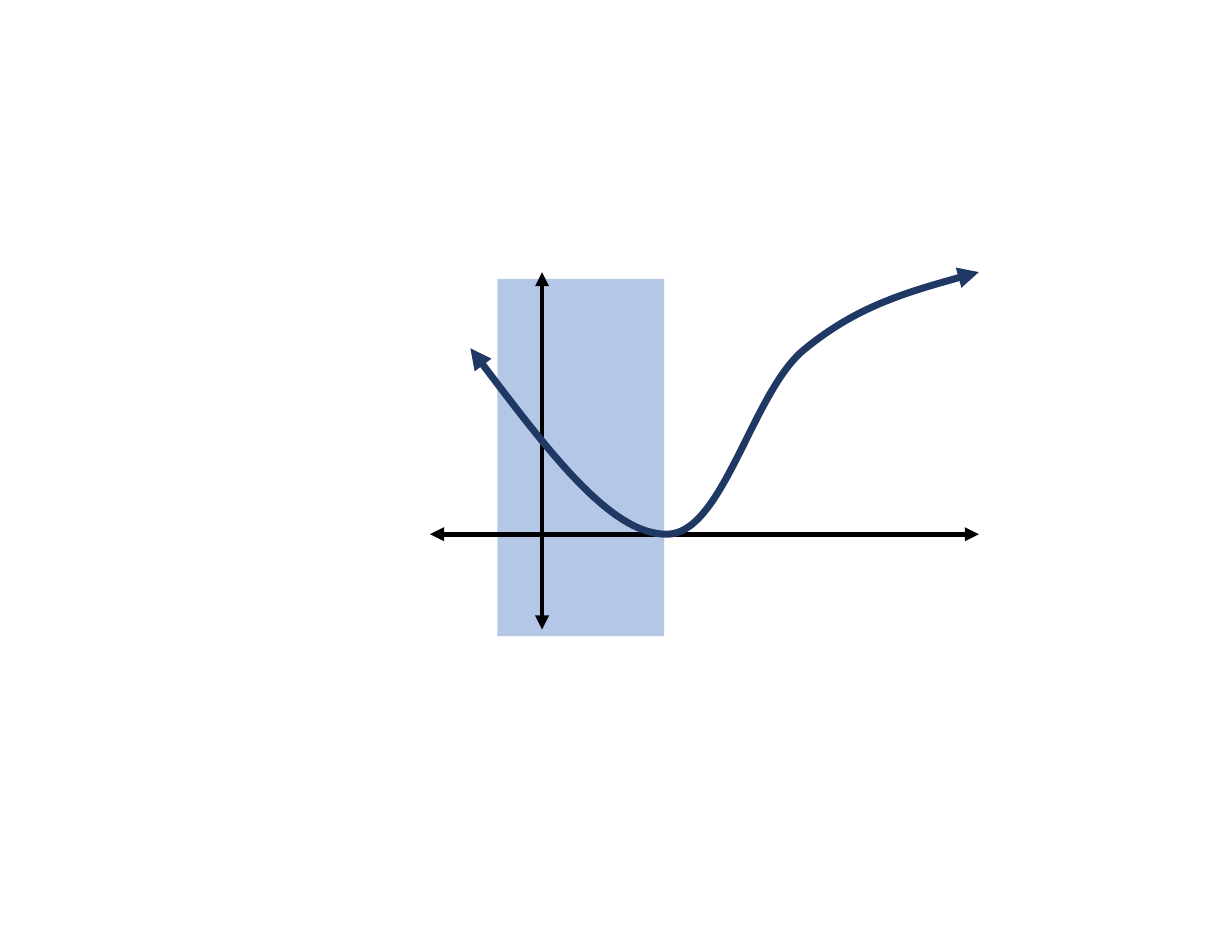
from lxml.etree import SubElement
from pptx import Presentation
from pptx.dml.color import RGBColor
from pptx.enum.shapes import MSO_CONNECTOR as Connector, MSO_SHAPE as Shape
from pptx.oxml.ns import qn
from pptx.util import Inches, Pt

COLORS = {"band": "B4C7E7", "axis": "000000", "curve": "203864"}
WIDTHS = {"axis": 3, "curve": 4.5}
BAND = (4.44, 2.49, 1.49, 3.19)
AXES = [
    (3.84, 4.77, 8.74, 4.77),
    (4.84, 2.43, 4.84, 5.62),
]
CURVE_START = (4.2, 3.11)
CURVE_SEGMENTS = [
    [(4.83, 3.94), (5.45, 4.77), (5.95, 4.77)],
    [(6.45, 4.78), (6.71, 3.52), (7.17, 3.13)],
    [(7.64, 2.74), (8.19, 2.58), (8.74, 2.43)],
]


def inches(values):
    return [Inches(value) for value in values]


def style_arrow(shape, role):
    shape.line.color.rgb = RGBColor.from_string(COLORS[role])
    shape.line.width = Pt(WIDTHS[role])
    properties = shape._element.spPr
    line = properties.find(qn("a:ln"))
    for end in ("a:headEnd", "a:tailEnd"):
        SubElement(line, qn(end), type="triangle")
    SubElement(properties, qn("a:effectLst"))


def add_band(slide):
    band = slide.shapes.add_shape(Shape.RECTANGLE, *inches(BAND))
    band.shadow.inherit = False
    band.fill.solid()
    band.fill.fore_color.rgb = RGBColor.from_string(COLORS["band"])
    band.line.fill.background()


def add_curve(slide):
    builder = slide.shapes.build_freeform(*inches(CURVE_START))
    builder.add_line_segments([inches(segment[-1]) for segment in CURVE_SEGMENTS], close=False)
    curve = builder.convert_to_shape()
    curve.fill.background()
    for step, segment in zip(list(curve._element.iter(qn("a:lnTo"))), CURVE_SEGMENTS):
        path = step.getparent()
        path.remove(step)
        bezier = SubElement(path, qn("a:cubicBezTo"))
        for x, y in segment:
            SubElement(bezier, qn("a:pt"), x=str(Inches(x) - curve.left), y=str(Inches(y) - curve.top))
    style_arrow(curve, "curve")


def main():
    presentation = Presentation()
    presentation.slide_width, presentation.slide_height = inches((11, 8.5))
    slide = presentation.slides.add_slide(presentation.slide_layouts[6])
    add_band(slide)
    for axis in AXES:
        style_arrow(slide.shapes.add_connector(Connector.STRAIGHT, *inches(axis)), "axis")
    add_curve(slide)
    presentation.save("out.pptx")


if __name__ == "__main__":
    main()
